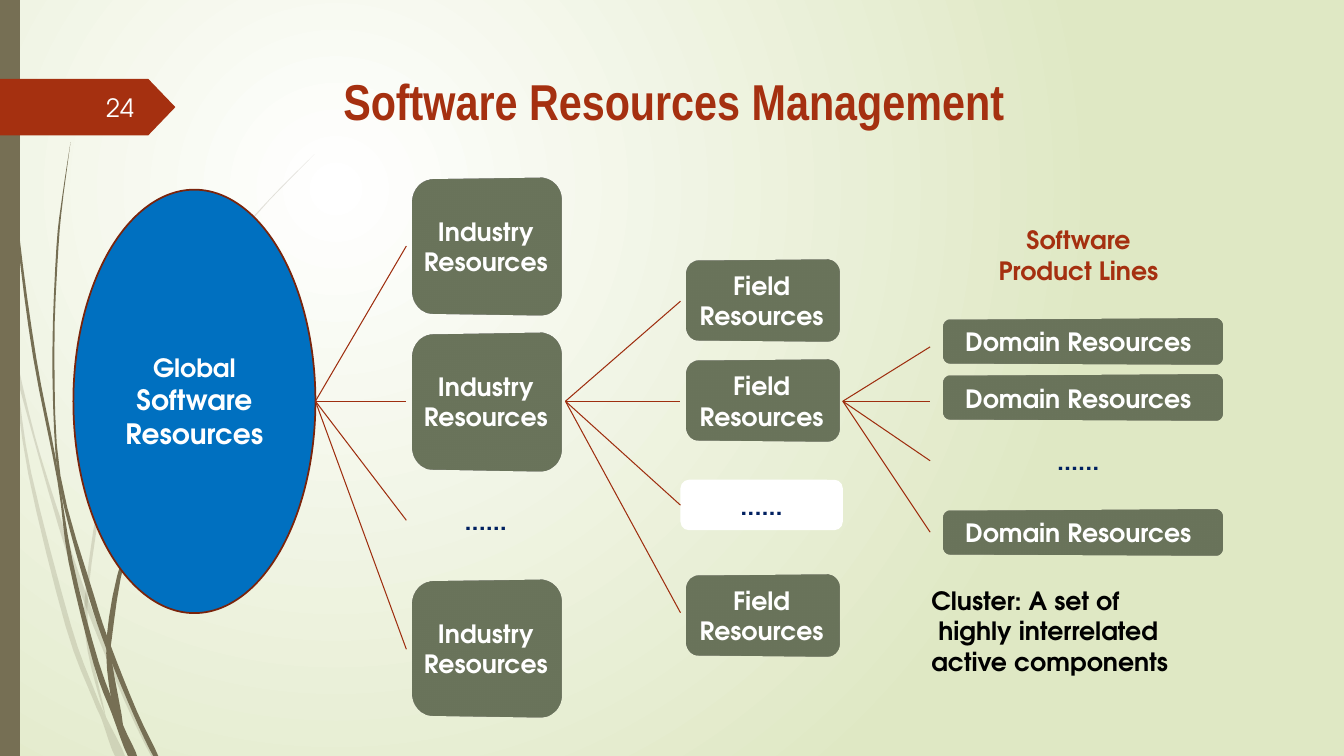
import lxml.etree
import pptx
import pptx.dml.color
import pptx.enum.shapes
import pptx.enum.text
import pptx.oxml
import pptx.oxml.ns
import pptx.util

Cm = pptx.util.Cm
Pt = pptx.util.Pt
RGB = pptx.dml.color.RGBColor
SHAPE = pptx.enum.shapes.MSO_SHAPE
ALIGN = pptx.enum.text.PP_ALIGN
ANCHOR = pptx.enum.text.MSO_ANCHOR
qn = pptx.oxml.ns.qn
DRAWING_NS = pptx.oxml.ns.nsdecls("a")

BROWN = RGB(0x76, 0x6F, 0x54)
RUST = RGB(0xA5, 0x30, 0x10)
DARK_RUST = RGB(0x7A, 0x24, 0x0C)
LINK_RUST = RGB(0x9E, 0x2E, 0x0F)
MOSS = RGB(0x39, 0x43, 0x2A)
BLUE = RGB(0x00, 0x70, 0xC0)
NAVY = RGB(0x00, 0x20, 0x60)
WHITE = RGB(0xFF, 0xFF, 0xFF)
BLACK = RGB(0x00, 0x00, 0x00)

BODY = {"name": "TeX Gyre Adventor", "size": Pt(18), "bold": True}
HUB_Y = 10.11
DOTS = "......"

# Grass stems: outline down one edge and up the other, in inches
PALE_STEMS = [
    [(0, 2.82), (.09, 3.22), (.17, 3.76), (.31, 4.69), (.7, 6.19), (.93, 6.83),
     (1.05, 7.11), (1.24, 7.5), (1.14, 7.5), (1.01, 7.14), (.92, 6.93),
     (.65, 6.21), (.28, 4.7), (.11, 3.5), (0, 2.99)],
    [(.14, 3.45), (.35, 4.34), (.62, 5.2), (.92, 6.07), (1.27, 6.92), (1.55, 7.5),
     (1.5, 7.5), (1.23, 6.94), (.84, 5.99), (.58, 5.22), (.17, 3.76)],
    [(3.12, 1.53), (2.68, 1.97), (2.28, 2.44), (1.58, 3.48), (1.07, 4.61),
     (.85, 5.84), (.87, 6.46), (1.05, 7.11), (.91, 6.46), (.88, 5.84),
     (1.1, 4.62), (1.6, 3.49), (2.29, 2.45), (2.68, 1.98)],
]
DARK_STEMS = [
    [(.03, 0), (.07, 1.1), (.17, 2.33), (.33, 3.55), (.57, 4.77), (.68, 5.57),
     (.93, 6.59), (1.11, 7.08), (1.27, 7.5), (1.36, 7.5), (1.22, 7.19),
     (.98, 6.57), (.72, 5.56), (.55, 4.53), (.36, 3.55), (.19, 2.32),
     (.08, 1.09), (.04, 0)],
    [(.7, 1.41), (.62, 1.93), (.56, 2.45), (.52, 3.49), (.55, 4.49), (.64, 5.05),
     (.88, 5.92), (1.06, 6.45), (1.32, 7.08), (1.52, 7.5), (1.57, 7.5),
     (1.36, 7.06), (1.1, 6.41), (.93, 5.9), (.6, 4.72), (.54, 3.49),
     (.58, 2.45), (.63, 1.93)],
    [(2.6, 3.44), (2.31, 3.73), (2.04, 4.05), (1.56, 4.74), (1.22, 5.51),
     (1.06, 6.31), (1.1, 6.91), (1.22, 7.19), (1.11, 6.56), (1.11, 6.33),
     (1.25, 5.52), (1.58, 4.76), (2.05, 4.06), (2.31, 3.74)],
]

# Columns: left, width, box height, and rows of (label, top, link height)
COLUMNS = [
    (10.24, 4.01, 3.43, [("Industry\nResources", 4.5, 6.2),
                         ("Industry\nResources", 8.41, HUB_Y),
                         (DOTS, 12.47, 13.11),
                         ("Industry\nResources", 14.63, 16.36)]),
    (17.15, 4.09, 2.03, [("Field\nResources", 6.55, 7.59),
                         ("Field\nResources", 9.09, HUB_Y),
                         (DOTS, 12.09, 12.73),
                         ("Field\nResources", 14.5, 15.44)]),
    (23.44, 7.47, 1.12, [("Domain Resources", 8.05, 8.74),
                         ("Domain Resources", 9.47, HUB_Y),
                         (DOTS, 11.05, 11.61),
                         ("Domain Resources", 12.85, 13.41)]),
]


def write(part, text, align, anchor, colour, space_after=0, **changes):
    frame = part.text_frame
    frame.word_wrap = True
    frame.vertical_anchor = anchor
    frame.text = text
    for paragraph in frame.paragraphs:
        paragraph.alignment = align
        paragraph.space_after = Pt(space_after)
        for key, value in {**BODY, **changes}.items():
            setattr(paragraph.font, key, value)
        paragraph.font.color.rgb = colour


def paint(part, fill=None, line=None):
    part.shadow.inherit = False
    if fill is None:
        part.fill.background()
    else:
        part.fill.solid()
        part.fill.fore_color.rgb = fill
    if line is None:
        part.line.fill.background()
    else:
        part.line.color.rgb = line
        part.line.width = Pt(1.25)


def preset(slide, kind, box, fill=None, line=None):
    part = slide.shapes.add_shape(kind, *map(Cm, box))
    paint(part, fill, line)
    return part


def turn_left(part):
    part._element.spPr.append(pptx.oxml.parse_xml(
        f'<a:scene3d {DRAWING_NS}><a:camera prst="perspectiveLeft"/>'
        '<a:lightRig rig="threePt" dir="t"/></a:scene3d>'))


def smooth(points, steps=4):
    """Yield points of a spline through an outline, keeping its ends sharp."""
    padded = [points[0], *points, points[-1]]
    for a, b, c, d in zip(padded, padded[1:], padded[2:], padded[3:]):
        for t in (step / steps for step in range(steps)):
            yield tuple(Cm(2.54 * (q + t / 2 * (r - p + t * (
                2 * p - 5 * q + 4 * r - s + t * (3 * (q - r) + s - p)))))
                for p, q, r, s in zip(a, b, c, d))
    yield tuple(Cm(2.54 * value) for value in points[-1])


def add_backdrop(slide):
    slide.background.fill.solid()
    backdrop = slide.element.xpath("//p:bgPr")[0]
    backdrop.replace(backdrop[0], pptx.oxml.parse_xml(
        f'<a:gradFill {DRAWING_NS}><a:gsLst>'
        '<a:gs pos="0"><a:srgbClr val="FFFFFF"/></a:gs>'
        '<a:gs pos="100000"><a:srgbClr val="DFE8C4"/></a:gs></a:gsLst>'
        '<a:path path="circle"><a:fillToRect l="50000" t="50000" '
        'r="100000" b="100000"/></a:path></a:gradFill>'))
    for stems, opacity in ((PALE_STEMS, 20), (DARK_STEMS, 100)):
        for outline in stems:
            start, *rest = smooth(outline)
            builder = slide.shapes.build_freeform(*start)
            builder.add_line_segments(rest)
            stem = builder.convert_to_shape()
            paint(stem, BROWN)
            tint = stem._element.spPr.find(f".//{qn('a:srgbClr')}")
            lxml.etree.SubElement(tint, qn("a:alpha")).set("val", str(opacity * 1000))
    preset(slide, SHAPE.RECTANGLE, (0, 0, .5, 19.05), BROWN)


def add_header(slide, box):
    left, top, width, height = box
    flag = preset(slide, SHAPE.PENTAGON, (0, top + .36, 4.42, 1.42), RUST)
    flag.adjustments[0] = .48
    number = slide.shapes.add_textbox(*map(Cm, (1.47, top + .56, 2.16, 1.02)))
    write(number, "24", ALIGN.RIGHT, ANCHOR.MIDDLE, RGB(0xFE, 0xFF, 0xFF), bold=False)
    title = slide.shapes.title
    for key, value in zip(("left", "top", "width", "height"), box):
        setattr(title, key, Cm(value))
    write(title, "Software Resources Management ", ALIGN.CENTER, ANCHOR.TOP, RUST,
          name="Arial Narrow", size=Pt(36))


def add_column(slide, hub_x, left, width, height, rows):
    for label, top, link_y in rows:
        if label == DOTS:
            white_field = WHITE if left == COLUMNS[1][0] else None
            dots = preset(slide, SHAPE.ROUNDED_RECTANGLE,
                          (left, top, width, min(height, 1.27)), white_field)
            write(dots, label, ALIGN.CENTER, ANCHOR.MIDDLE, NAVY, space_after=6)
        else:
            resource = preset(slide, SHAPE.ROUNDED_RECTANGLE,
                              (left, top, width, height), MOSS, DARK_RUST)
            turn_left(resource)
            write(resource, label, ALIGN.CENTER, ANCHOR.MIDDLE, WHITE)
        link = slide.shapes.add_connector(
            pptx.enum.shapes.MSO_CONNECTOR.STRAIGHT,
            *map(Cm, (hub_x, HUB_Y, left, link_y)))
        link.line.color.rgb = LINK_RUST
        link.line.width = Pt(.75)
        lxml.etree.SubElement(link._element.spPr, qn("a:effectLst"))


def add_resource_tree(slide, box):
    left, top, width, height = box
    globe = preset(slide, SHAPE.OVAL, box, BLUE, DARK_RUST)
    write(globe, "Global\nSoftware Resources", ALIGN.CENTER, ANCHOR.MIDDLE, WHITE)
    globe.text_frame.paragraphs[1].font.size = Pt(20)
    hub_x = left + width
    for column in COLUMNS:
        add_column(slide, hub_x, *column)
        hub_x = column[0] + column[1]


def add_captions(slide):
    product_lines = slide.shapes.add_textbox(*map(Cm, (24.59, 5.54, 5.18, 1.63)))
    write(product_lines, "Software Product Lines", ALIGN.CENTER, ANCHOR.TOP, RUST)
    cluster = slide.shapes.add_textbox(*map(Cm, (23.22, 14.63, 7.7, 2.57)))
    write(cluster, "Cluster: A set of\n highly interrelated active components",
          ALIGN.LEFT, ANCHOR.TOP, BLACK)


def main():
    deck = pptx.Presentation()
    deck.slide_width, deck.slide_height = Cm(33.87), Cm(19.05)
    slide = deck.slides.add_slide(deck.slide_layouts[5])
    add_backdrop(slide)
    add_header(slide, (5.23, 1.63, 23.8, 2.34))
    add_resource_tree(slide, (1.85, 4.78, 6.1, 10.67))
    add_captions(slide)
    deck.save("out.pptx")


if __name__ == "__main__":
    main()
